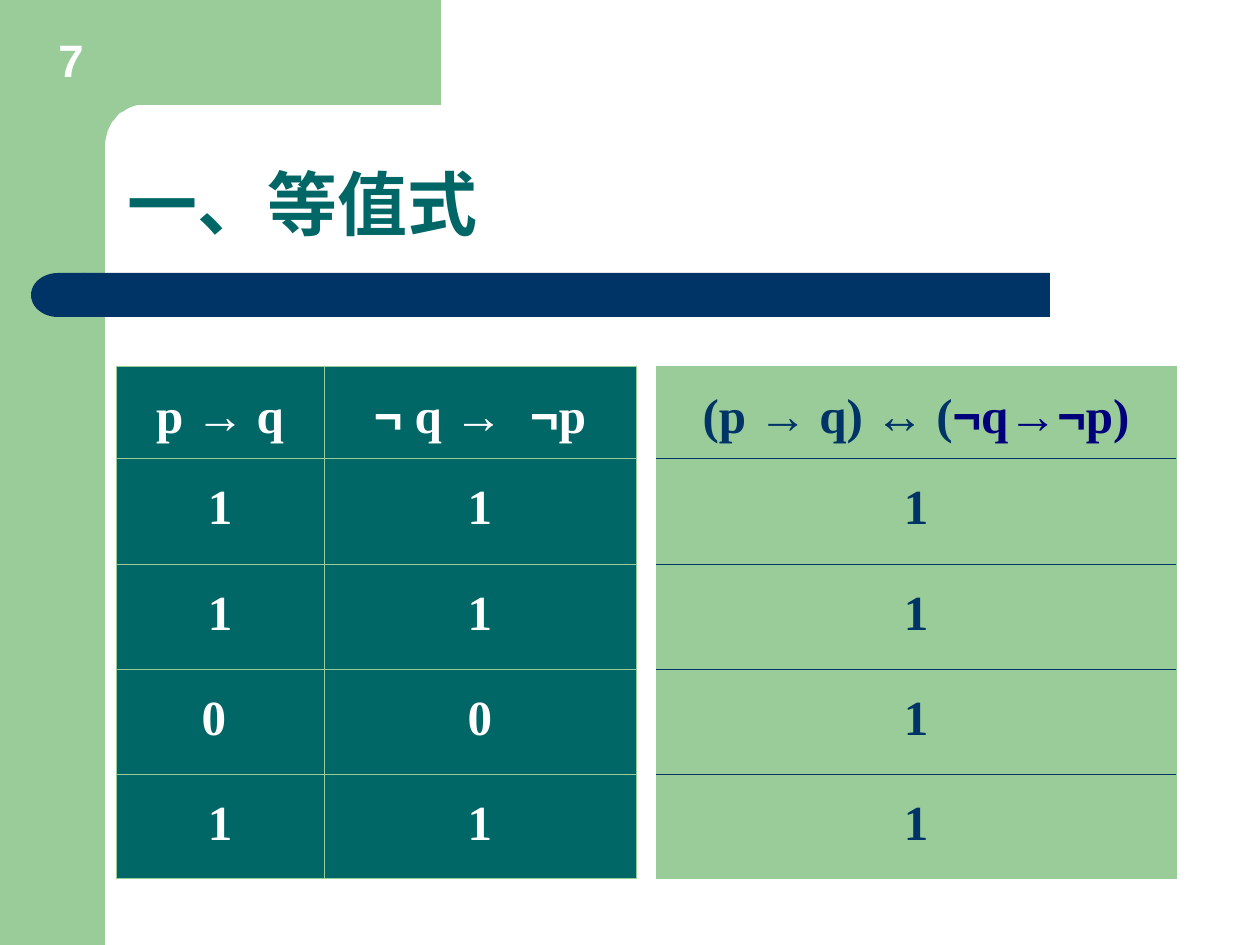
import math

from lxml import etree
from pptx import Presentation
from pptx.dml.color import RGBColor
from pptx.enum.shapes import MSO_SHAPE
from pptx.enum.text import MSO_ANCHOR, PP_ALIGN
from pptx.oxml.ns import qn
from pptx.util import Pt

CENTER = PP_ALIGN.CENTER
BOTTOM = MSO_ANCHOR.BOTTOM
PX = 914400 / 126
SERIF, SANS = "Times New Roman", "Arial"
SYMBOLS = set("¬→↔")
COLORS = {
    "green": "99CC99",
    "navy": "003366",
    "teal": "006666",
    "blue": "00007A",
    "white": "FFFFFF",
}


def emu(*lengths):
    return [round(length * PX) for length in lengths]


def style_font(span, face, size, color):
    span.font.name = face
    span.font.size = Pt(size)
    span.font.bold = True
    span.font.color.rgb = RGBColor.from_string(COLORS[color])


deck = Presentation()
deck.slide_width, deck.slide_height = emu(1260, 945)
page = deck.slides.add_slide(deck.slide_layouts[6])

# Green frame with a rounded inner corner, and the navy bar
side = page.shapes.add_shape(MSO_SHAPE.RECTANGLE, *emu(0, 0, 105, 945))

corner = [
    (142 + 37 * math.cos(math.radians(angle)), 147 - 42 * math.sin(math.radians(angle)))
    for angle in range(90, 181, 6)
]
outline = page.shapes.build_freeform(441, 0, scale=PX)
outline.add_line_segments([(441, 105), *corner, (105, 161), (63, 161), (63, 0)])
top = outline.convert_to_shape()

bar = page.shapes.add_shape(MSO_SHAPE.ROUNDED_RECTANGLE, *emu(84, 273, 966, 44))
bar.adjustments[0] = 0
bar_end = page.shapes.add_shape(MSO_SHAPE.FLOWCHART_DELAY, *emu(31, 273, 54, 44))
bar_end._element.spPr.xfrm.set("flipH", "1")

for shape, color in [(side, "green"), (top, "green"), (bar, "navy"), (bar_end, "navy")]:
    shape.shadow.inherit = False
    shape.fill.solid()
    shape.fill.fore_color.rgb = RGBColor.from_string(COLORS[color])
    shape.line.fill.background()

# Title and page number
for text, place, face, size, color, align, spacing in [
    ("一、等值式", (115, 115, 1072, 137), SERIF, 40, "teal", PP_ALIGN.LEFT, 0.9),
    ("7", (0, 26, 142, 67), SANS, 26, "white", CENTER, 1.0),
]:
    box = page.shapes.add_textbox(*emu(*place))
    frame = box.text_frame
    frame.word_wrap = True
    frame.vertical_anchor = BOTTOM
    frame.text = text
    para = frame.paragraphs[0]
    para.alignment = align
    para.line_spacing = spacing
    style_font(para.runs[0], face, size, color)

# Truth tables: each cell is a list of spans
row_heights = [92, 106, 105, 105, 105]
implications = [
    [["p ", "→", " q"], ["¬", " q ", "→  ¬", "p"]],
    [["1"], ["1"]],
    [["1"], ["1"]],
    [["0 "], ["0"]],
    [["1"], ["1"]],
]
equivalence = [[["(p ", "→", " q) ", "↔", " (", "¬", "q", "→¬", "p)"]]] + [[["1"]]] * 4
BLUE_FROM = 5  # the contrapositive in the equivalence header

for left, widths, rows, fill, ink, rule in [
    (116, [208, 312], implications, "teal", "white", "green"),
    (656, [520], equivalence, "green", "navy", "navy"),
]:
    holder = page.shapes.add_table(
        len(rows), len(widths), *emu(left, 366, sum(widths), sum(row_heights))
    )
    table = holder.table
    table.first_row = table.horz_banding = False
    for column, width in zip(table.columns, emu(*widths)):
        column.width = width
    for row, height in zip(table.rows, emu(*row_heights)):
        row.height = height

    for i, row in enumerate(rows):
        for j, spans in enumerate(row):
            cell = table.cell(i, j)
            borders = {
                "lnL": "green",
                "lnR": "green",
                "lnT": rule if i > 0 else "green",
                "lnB": rule if i < len(rows) - 1 else "green",
            }
            properties = cell._tc.get_or_add_tcPr()
            for tag, color in borders.items():
                line = etree.SubElement(properties, qn("a:" + tag), w=str(Pt(0.45)))
                solid = etree.SubElement(line, qn("a:solidFill"))
                etree.SubElement(solid, qn("a:srgbClr"), val=COLORS[color])
            cell.fill.solid()
            cell.fill.fore_color.rgb = RGBColor.from_string(COLORS[fill])

            para = cell.text_frame.paragraphs[0]
            para.alignment = CENTER
            para.line_spacing = 1.3
            for k, text in enumerate(spans):
                span = para.add_run()
                span.text = text
                face = SANS if SYMBOLS & set(text) else SERIF
                style_font(span, face, 28, "blue" if k >= BLUE_FROM else ink)

deck.save("out.pptx")
